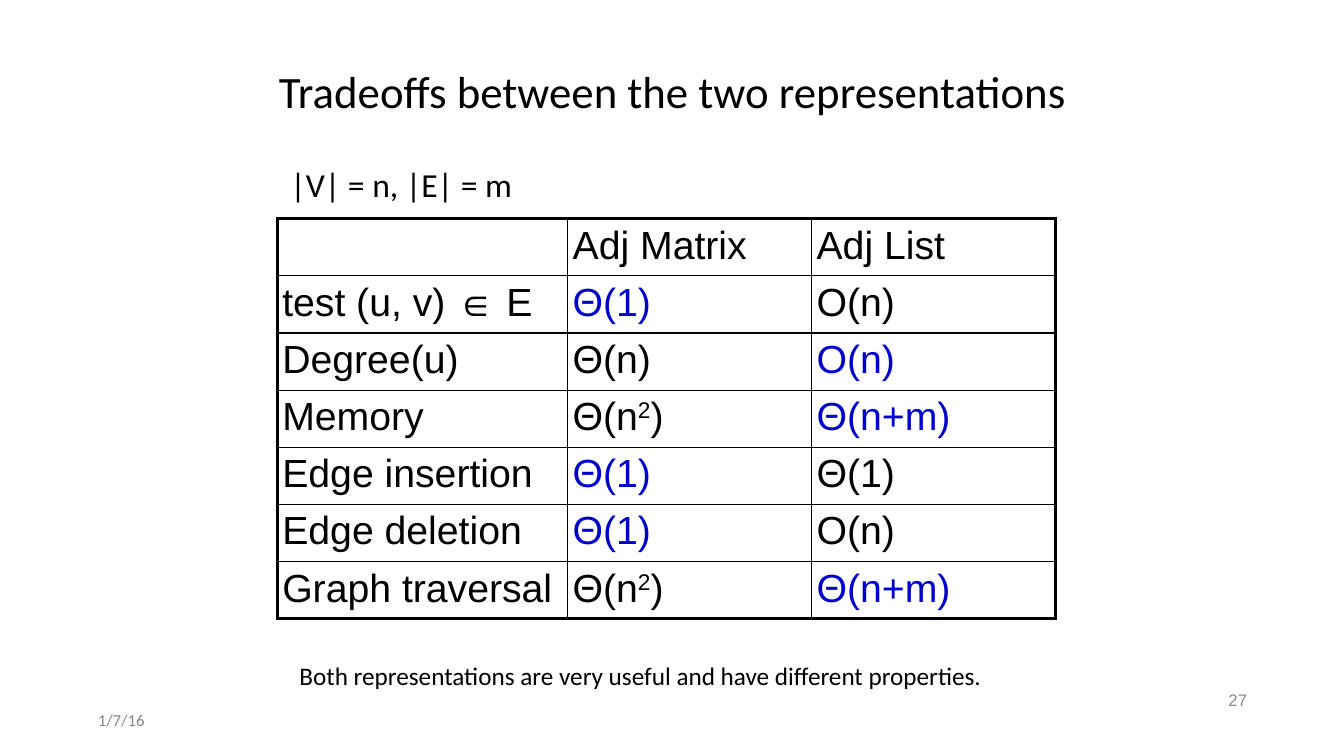
"""Build the slide comparing adjacency matrix and adjacency list costs."""
from lxml import etree
from pptx import Presentation
from pptx.dml.color import RGBColor
from pptx.enum.text import MSO_ANCHOR, MSO_AUTO_SIZE, PP_ALIGN
from pptx.oxml.ns import qn
from pptx.util import Inches, Pt

LEFT, CENTER, RIGHT = PP_ALIGN.LEFT, PP_ALIGN.CENTER, PP_ALIGN.RIGHT
TOP, MIDDLE = MSO_ANCHOR.TOP, MSO_ANCHOR.MIDDLE
FIT_SHAPE, FIXED = MSO_AUTO_SIZE.SHAPE_TO_FIT_TEXT, MSO_AUTO_SIZE.NONE

COLORS = {"ink": "000000", "better": "0000CC", "muted": "888888"}
SLIDE_SIZE = (13.33, 7.5)
INSET = Inches(0.05)

COSTS = [
    ("", "Adj Matrix", "Adj List"),
    ("test (u, v) ∈ E", "Θ(1)", "O(n)"),
    ("Degree(u)", "Θ(n)", "O(n)"),
    ("Memory", "Θ(n^2^)", "Θ(n+m)"),
    ("Edge insertion", "Θ(1)", "Θ(1)"),
    ("Edge deletion", "Θ(1)", "O(n)"),
    ("Graph traversal", "Θ(n^2^)", "Θ(n+m)"),
]
BETTER = {(1, 1), (2, 2), (3, 2), (4, 1), (5, 1), (6, 2)}
TABLE_CORNER = (2.75, 2.17)
COLUMN_WIDTHS = (2.88, 2.42, 2.42)
TABLE_HEIGHT = 3.97
OUTER_LINE, INNER_LINE = 2.25, 1

CAPTIONS = [
    ("Tradeoffs between the two representations", (0.92, 0.4, 11.5, 1.07),
     32, "Calibri", "ink", CENTER, MIDDLE, True, FIXED, 0.9),
    ("|V| = n, |E| = m", (2.83, 1.58, 2.31, 0.5),
     24, "Calibri", "ink", LEFT, TOP, False, FIT_SHAPE, None),
    ("Both representations are very useful and have different properties.",
     (2.92, 6.5, 7.83, 0.41), 18, "Calibri", "ink", LEFT, TOP, True, FIT_SHAPE, None),
    ("27", (9.42, 6.8, 3, 0.29),
     12, "Arial", "muted", RIGHT, MIDDLE, True, FIXED, None),
    ("1/7/16", (0.92, 7, 3, 0.29),
     12, "Calibri", "muted", LEFT, MIDDLE, True, FIT_SHAPE, None),
]


def style_run(run, size, face, color):
    run.font.size = Pt(size)
    run.font.name = face
    run.font.color.rgb = RGBColor.from_string(COLORS[color])


def set_insets(holder):
    holder.margin_left = holder.margin_right = INSET
    holder.margin_top = holder.margin_bottom = INSET


def add_caption(slide, words, place, size, face, color, align, anchor, wrap, fit, spacing):
    frame = slide.shapes.add_textbox(*map(Inches, place)).text_frame
    set_insets(frame)
    frame.word_wrap = wrap
    frame.auto_size = fit
    frame.vertical_anchor = anchor
    frame.text = words
    paragraph = frame.paragraphs[0]
    paragraph.alignment = align
    paragraph.line_spacing = spacing
    style_run(paragraph.runs[0], size, face, color)


def set_borders(cell, widths):
    properties = cell._tc.get_or_add_tcPr()
    for position, (side, width) in enumerate(widths.items()):
        line = etree.Element(qn(f"a:ln{side}"), w=str(Pt(width)))
        fill = etree.SubElement(line, qn("a:solidFill"))
        etree.SubElement(fill, qn("a:srgbClr"), val=COLORS["ink"])
        properties.insert(position, line)


def fill_cell(cell, words, color):
    set_insets(cell)
    cell.fill.background()
    paragraph = cell.text_frame.paragraphs[0]
    for index, piece in enumerate(words.split("^")):
        if piece:
            run = paragraph.add_run()
            run.text = piece
            style_run(run, 28, "Arial", color)
            if index % 2:
                run.font._element.set("baseline", "30000")


def add_costs(slide):
    row_count, column_count = len(COSTS), len(COLUMN_WIDTHS)
    extent = (*TABLE_CORNER, sum(COLUMN_WIDTHS), TABLE_HEIGHT)
    table = slide.shapes.add_table(row_count, column_count, *map(Inches, extent)).table
    table.first_row = table.horz_banding = False
    for column, width in zip(table.columns, COLUMN_WIDTHS):
        column.width = Inches(width)
    for r, costs in enumerate(COSTS):
        table.rows[r].height = Inches(TABLE_HEIGHT / row_count)
        for c, words in enumerate(costs):
            cell = table.cell(r, c)
            fill_cell(cell, words, "better" if (r, c) in BETTER else "ink")
            on_edge = {"L": c == 0, "R": c == column_count - 1,
                       "T": r == 0, "B": r == row_count - 1}
            set_borders(cell, {side: OUTER_LINE if edge else INNER_LINE
                               for side, edge in on_edge.items()})


def main():
    deck = Presentation()
    deck.slide_width, deck.slide_height = map(Inches, SLIDE_SIZE)
    slide = deck.slides.add_slide(deck.slide_layouts[6])
    add_costs(slide)
    for caption in CAPTIONS:
        add_caption(slide, *caption)
    deck.save("out.pptx")


if __name__ == "__main__":
    main()
